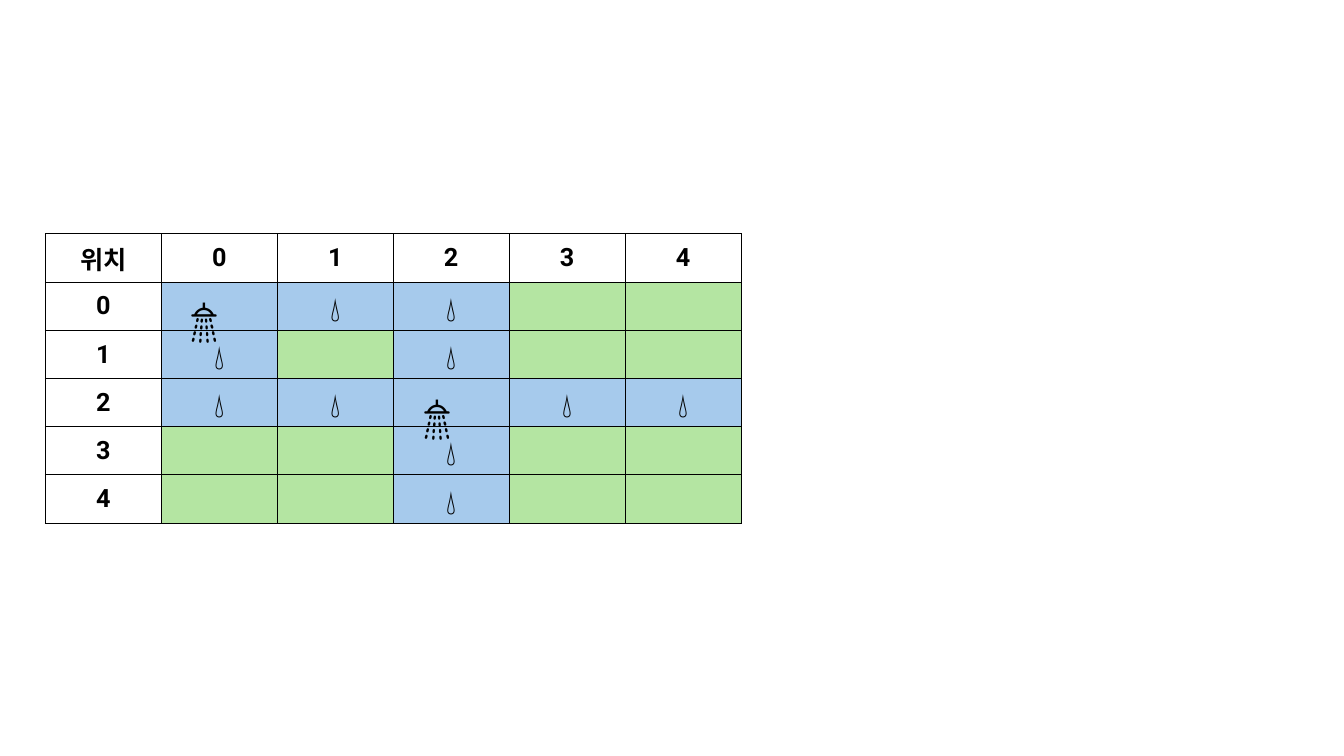
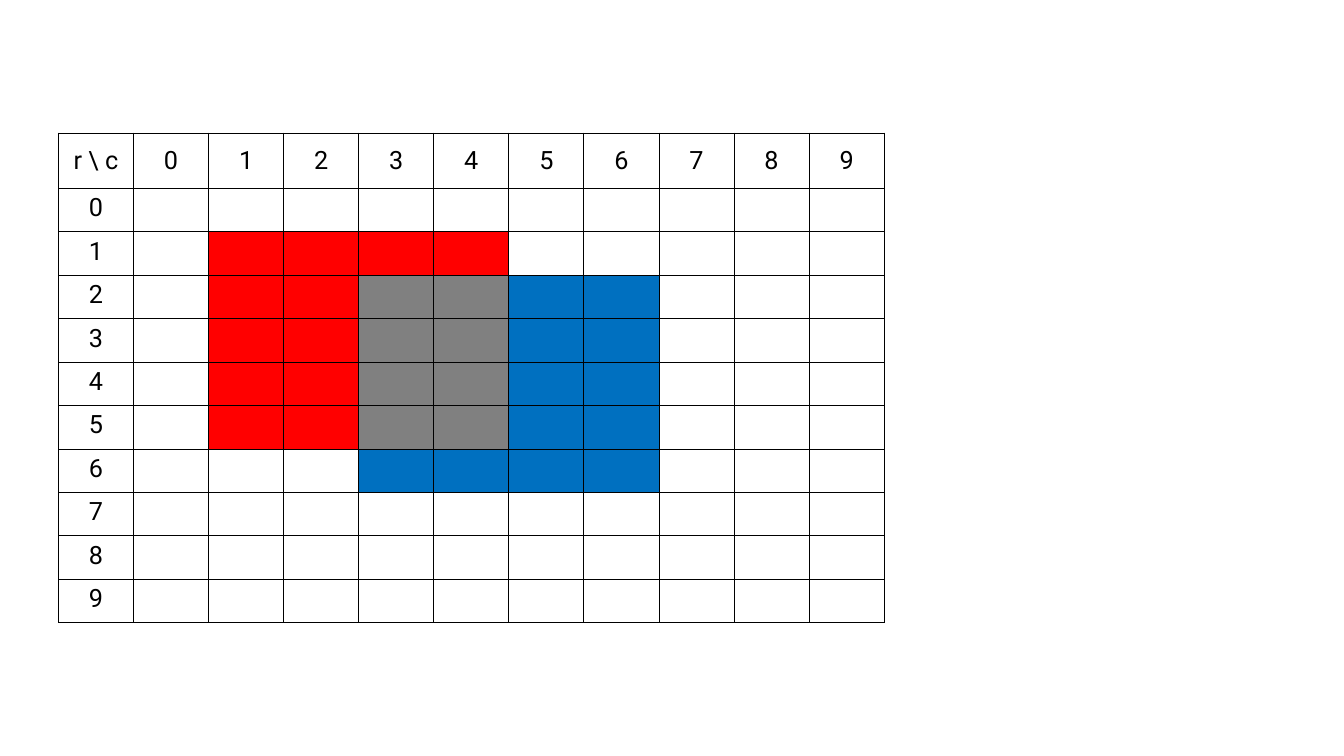
from dataclasses import dataclass
from typing import Callable, NamedTuple, Optional

from lxml import etree
from pptx import Presentation
from pptx.dml.color import RGBColor
from pptx.enum.text import MSO_ANCHOR, MSO_AUTO_SIZE, PP_ALIGN
from pptx.oxml.ns import qn
from pptx.util import Emu, Pt

PX = 9144  # EMU in one px, 100 px to the inch
BLANK = 6

BLACK = RGBColor(0x00, 0x00, 0x00)
WATER = RGBColor(0xA6, 0xCA, 0xEC)
GRASS = RGBColor(0xB4, 0xE5, 0xA2)
RED = RGBColor(0xFF, 0x00, 0x00)
BLUE = RGBColor(0x00, 0x70, 0xC0)
GREY = RGBColor(0x80, 0x80, 0x80)

LATIN = "Roboto"
ASIAN = "Noto Sans CJK KR"
LEFT, CENTER = PP_ALIGN.LEFT, PP_ALIGN.CENTER
TOP, MIDDLE = MSO_ANCHOR.TOP, MSO_ANCHOR.MIDDLE
NO_FIT = MSO_AUTO_SIZE.NONE

DROP, SHOWER = "💧", "🚿"
HEADS = ((0, 0), (2, 2))
REACH = 2


class Mark(NamedTuple):
    fill: Optional[RGBColor] = None
    text: str = ""


class Box(NamedTuple):
    left: int
    top: int
    width: int
    height: int


class Area(NamedTuple):
    rows: range
    cols: range

    def holds(self, row: int, col: int) -> bool:
        return row in self.rows and col in self.cols


RED_AREA = Area(range(1, 6), range(1, 5))
BLUE_AREA = Area(range(2, 7), range(3, 7))


@dataclass(frozen=True)
class Grid:
    corner: str
    count: int
    box: Box
    head: int
    mark: Callable[[int, int], Mark]
    bold: bool = False
    side: MSO_ANCHOR = MIDDLE


def px(value: float) -> Emu:
    return Emu(round(value * PX))


def write(frame, text: str, *, size: int = 18, font: str = LATIN,
          bold: bool = False, align: PP_ALIGN = CENTER) -> None:
    para = frame.paragraphs[0]
    para.alignment = align
    run = para.add_run()
    run.text = text
    run.font.size = Pt(size)
    run.font.bold = bold
    run.font.name = font
    run.font.color.rgb = BLACK
    etree.SubElement(run._r.get_or_add_rPr(), qn("a:ea"), typeface=ASIAN)


def edge(cell) -> None:
    """Draw a thin black line on all four sides of the cell."""
    props = cell._tc.get_or_add_tcPr()
    for spot, side in enumerate(("lnL", "lnR", "lnT", "lnB")):
        line = etree.Element(qn(f"a:{side}"), w=str(Pt(0.75)))
        fill = etree.SubElement(line, qn("a:solidFill"))
        etree.SubElement(fill, qn("a:srgbClr"), val=str(BLACK))
        props.insert(spot, line)


def paint(cell, color: Optional[RGBColor]) -> None:
    if color is None:
        cell.fill.background()
    else:
        cell.fill.solid()
        cell.fill.fore_color.rgb = color


def water(row: int, col: int) -> Mark:
    """Each shower head wets its own row and column as far as REACH."""
    if (row, col) in HEADS:
        return Mark(WATER)
    for top, left in HEADS:
        down, over = abs(row - top), abs(col - left)
        if min(down, over) == 0 and max(down, over) <= REACH:
            return Mark(WATER, DROP)
    return Mark(GRASS)


def paper(row: int, col: int) -> Mark:
    """Two coloured areas, grey where they overlap."""
    red, blue = RED_AREA.holds(row, col), BLUE_AREA.holds(row, col)
    if red and blue:
        return Mark(GREY)
    return Mark(RED if red else BLUE if blue else None)


def draw(slide, grid: Grid) -> None:
    size = grid.count + 1
    frame = slide.shapes.add_table(size, size, *map(px, grid.box))
    table = frame.table
    table.first_row = table.horz_banding = False
    for col in table.columns:
        col.width = px(grid.box.width / size)
    for row in table.rows:
        row.height = px((grid.box.height - grid.head) / grid.count)
    table.rows[0].height = px(grid.head)

    for row in range(size):
        for col in range(size):
            cell = table.cell(row, col)
            label = row == 0 or col == 0
            if label:
                text = str(row + col - 1) if row + col else grid.corner
                mark = Mark(text=text)
            else:
                mark = grid.mark(row - 1, col - 1)
            cell.vertical_anchor = MIDDLE if row == 0 or not label else grid.side
            paint(cell, mark.fill)
            edge(cell)
            if mark.text:
                write(cell.text_frame, mark.text, bold=label and grid.bold,
                      font=LATIN if label else ASIAN)


def icon(slide, box: Box) -> None:
    frame = slide.shapes.add_textbox(*map(px, box)).text_frame
    frame.word_wrap = False
    frame.auto_size = NO_FIT
    write(frame, SHOWER, size=36, font=ASIAN, bold=True, align=LEFT)


GARDEN = Grid("위치", 5, Box(45, 232, 690, 287), 48, water, bold=True)
SHEET = Grid("r \\ c", 10, Box(58, 132, 819, 486), 55, paper, side=TOP)
ICONS = (Box(409, 375, 72, 71), Box(178, 279, 72, 71))


def main() -> None:
    deck = Presentation()
    deck.slide_width, deck.slide_height = px(1333), px(750)
    layout = deck.slide_layouts[BLANK]

    garden = deck.slides.add_slide(layout)
    draw(garden, GARDEN)
    for box in ICONS:
        icon(garden, box)

    draw(deck.slides.add_slide(layout), SHEET)
    deck.save("out.pptx")


if __name__ == "__main__":
    main()
